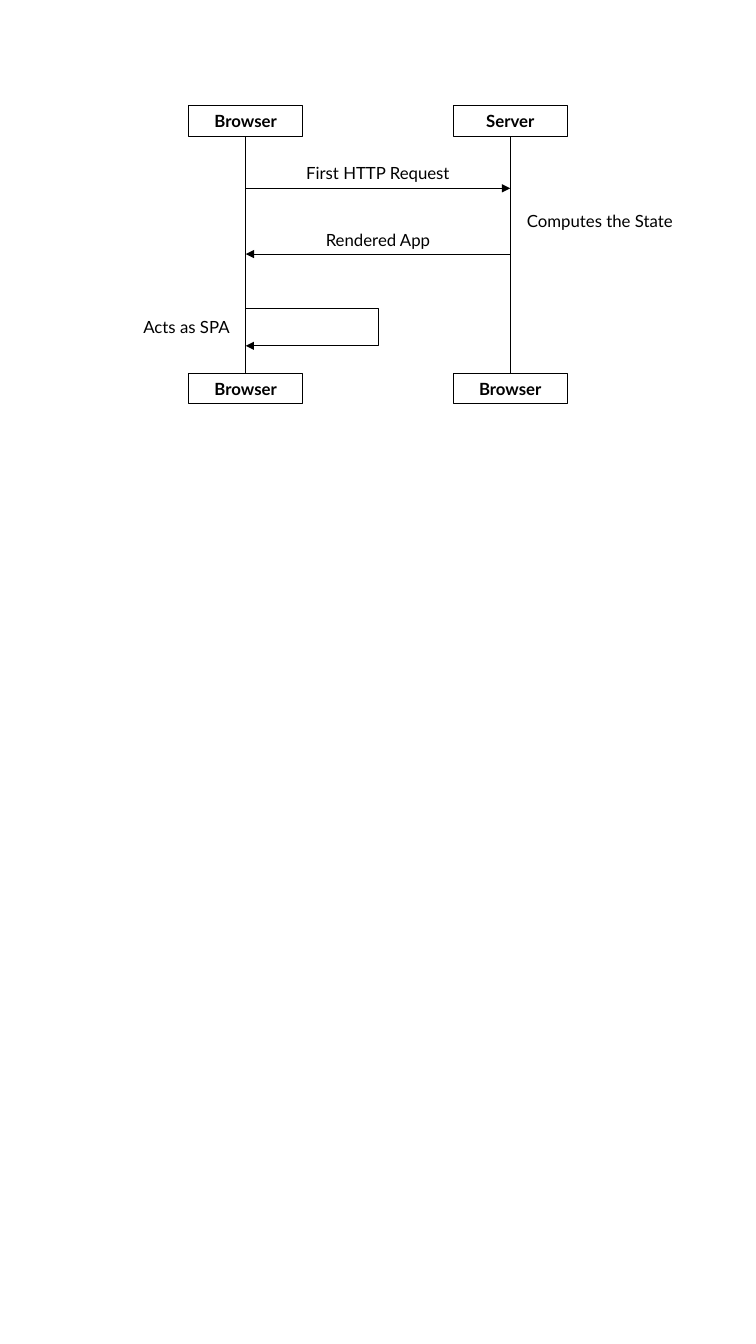
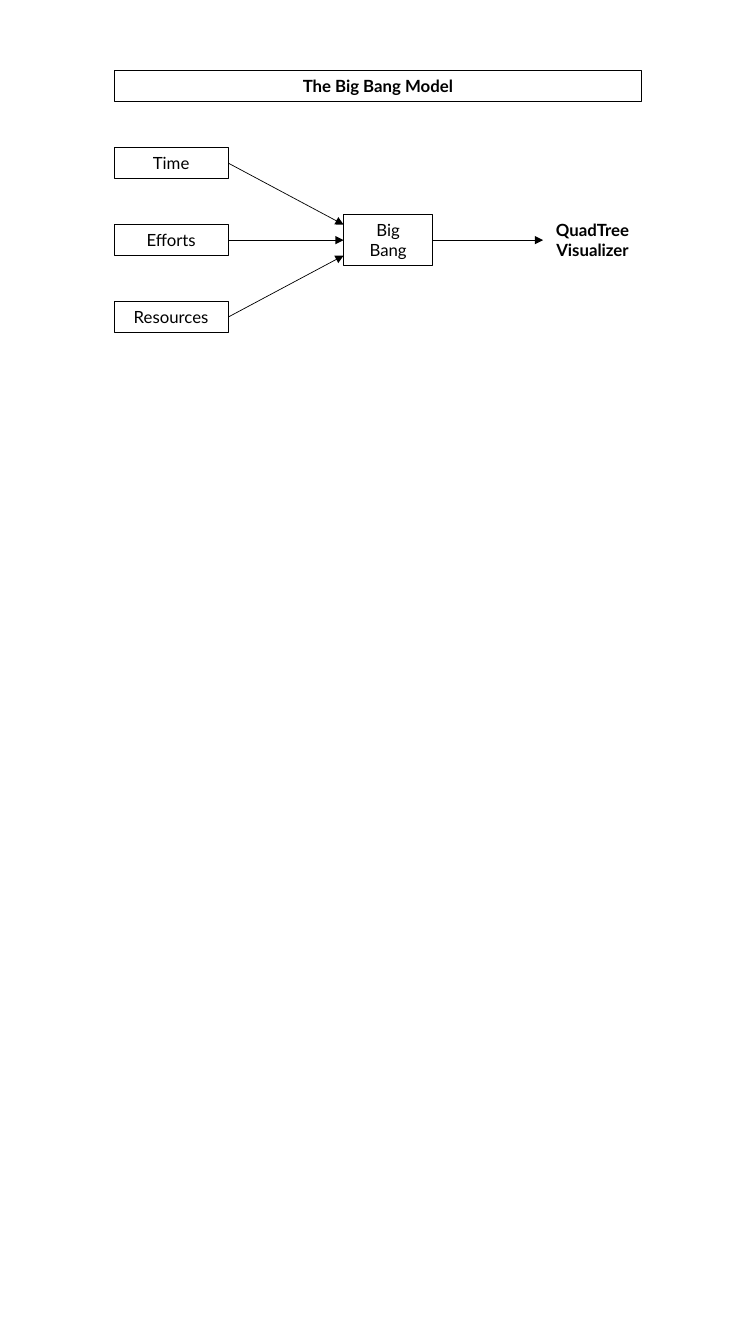
from lxml.etree import SubElement
from pptx import Presentation
from pptx.dml.color import RGBColor
from pptx.enum.shapes import MSO_CONNECTOR, MSO_SHAPE
from pptx.enum.text import MSO_ANCHOR, MSO_AUTO_SIZE, PP_ALIGN
from pptx.oxml.ns import qn
from pptx.util import Pt

BLACK = RGBColor(0, 0, 0)
FONT = "Lato"
BOX_WIDTH = 81.5
BOX_HEIGHT = 22


def add_label(slide, lines, left, top, width, height=BOX_HEIGHT, bold=False, boxed=True):
    area = Pt(left), Pt(top), Pt(width), Pt(height)
    if boxed:
        label = slide.shapes.add_shape(MSO_SHAPE.RECTANGLE, *area)
        label.shadow.inherit = False
        label.fill.background()
        label.line.color.rgb = BLACK
        label.line.width = Pt(0.75)
    else:
        label = slide.shapes.add_textbox(*area)
    frame = label.text_frame
    frame.word_wrap = True
    frame.auto_size = MSO_AUTO_SIZE.SHAPE_TO_FIT_TEXT
    frame.vertical_anchor = MSO_ANCHOR.MIDDLE
    for index, line in enumerate(lines):
        paragraph = frame.add_paragraph() if index else frame.paragraphs[0]
        paragraph.alignment = PP_ALIGN.CENTER
        run = paragraph.add_run()
        run.text = line
        run.font.name = FONT
        run.font.size = Pt(12)
        run.font.bold = bold
        run.font.color.rgb = BLACK


def add_path(slide, points, arrow=True):
    start, *rest = [(Pt(x), Pt(y)) for x, y in points]
    if len(rest) == 1:
        path = slide.shapes.add_connector(MSO_CONNECTOR.STRAIGHT, *start, *rest[0])
    else:
        builder = slide.shapes.build_freeform(*start)
        builder.add_line_segments(rest, close=False)
        path = builder.convert_to_shape()
        path.fill.background()
    path.line.color.rgb = BLACK
    path.line.width = Pt(0.5)
    properties = path._element.spPr
    if arrow:
        SubElement(properties.get_or_add_ln(), qn("a:tailEnd"), type="triangle")
    SubElement(properties, qn("a:effectLst"))


deck = Presentation()
deck.slide_width = Pt(540)
deck.slide_height = Pt(960)
blank = deck.slide_layouts[6]

sequence = deck.slides.add_slide(blank)
browser_x, server_x = 175.5, 364.5
head_top, foot_top = 75.5, 266.5
for center, head, foot in [(browser_x, "Browser", "Server"), (server_x, "Server", "Browser")]:
    left = center - BOX_WIDTH / 2
    add_label(sequence, [head], left, head_top, BOX_WIDTH, bold=True)
    add_label(sequence, ["Browser"], left, foot_top, BOX_WIDTH, bold=True)
    add_path(sequence, [(center, head_top + BOX_HEIGHT), (center, foot_top)], arrow=False)

request_y, response_y = 134.5, 181.5
add_path(sequence, [(browser_x, request_y), (server_x, request_y)])
add_path(sequence, [(server_x, response_y), (browser_x, response_y)])
spa_right, spa_top, spa_bottom = 270, 220.5, 247
add_path(sequence, [(browser_x, spa_top), (spa_right, spa_top),
                    (spa_right, spa_bottom), (browser_x, spa_bottom)])

for text, left, top, width in [
    ("First HTTP Request", 203, 112.5, 134),
    ("Rendered App", 203, 160.5, 134),
    ("Acts as SPA", 92.5, 222.5, BOX_WIDTH),
    ("Computes the State", server_x, 147, 128),
]:
    add_label(sequence, [text], left, top, width, boxed=False)

model = deck.slides.add_slide(blank)
inputs_left, bang_left, result_left = 81.5, 245.5, 388
bang_width, result_width, tall = 63.5, 70.5, 36.5
middle = 171.5
add_label(model, ["The Big Bang Model"], inputs_left, 50.5, 377, bold=True)
for step, name in enumerate(["Time", "Efforts", "Resources"], start=-1):
    input_y = middle + 55 * step
    add_label(model, [name], inputs_left, input_y - BOX_HEIGHT / 2, BOX_WIDTH)
    add_path(model, [(inputs_left + BOX_WIDTH, input_y), (bang_left, middle + 11 * step)])
add_label(model, ["Big", "Bang"], bang_left, middle - tall / 2, bang_width, tall)
add_label(model, ["QuadTree", "Visualizer"], result_left, middle - tall / 2,
          result_width, tall, bold=True, boxed=False)
add_path(model, [(bang_left + bang_width, middle), (result_left, middle)])

deck.save("out.pptx")
